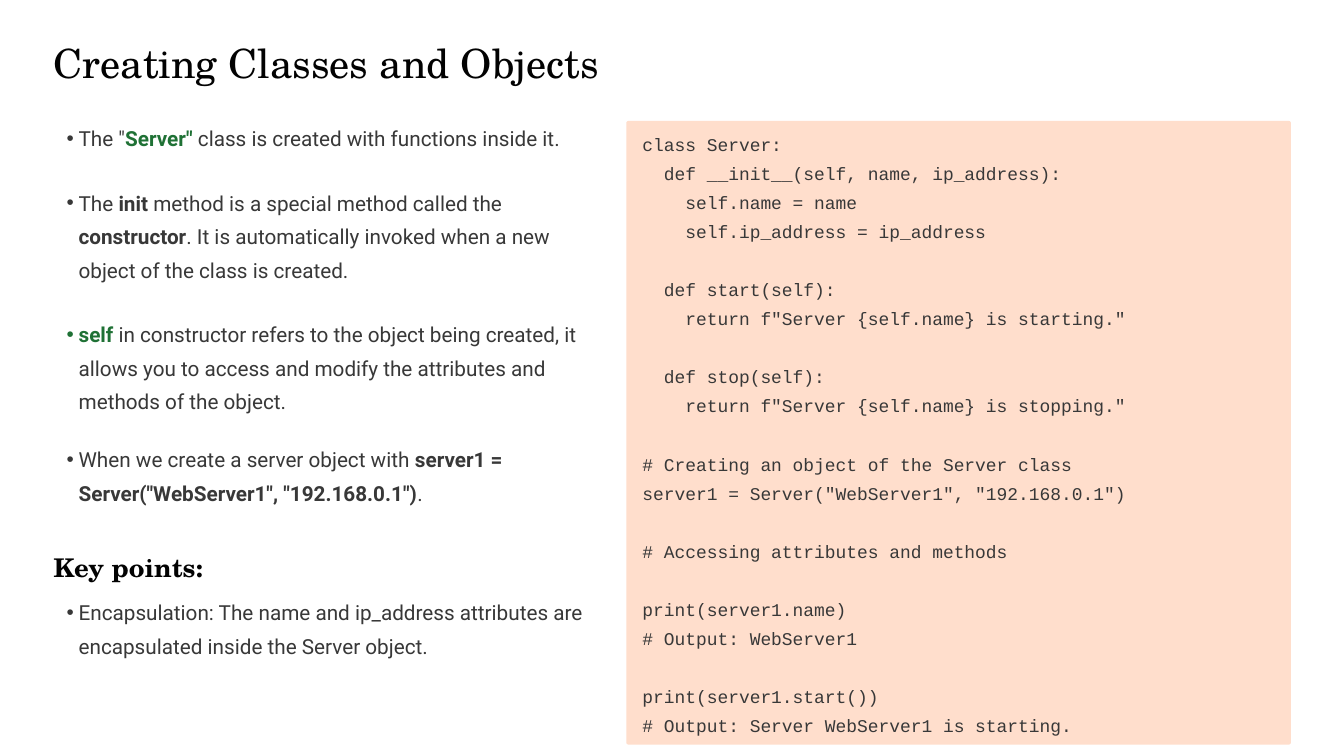
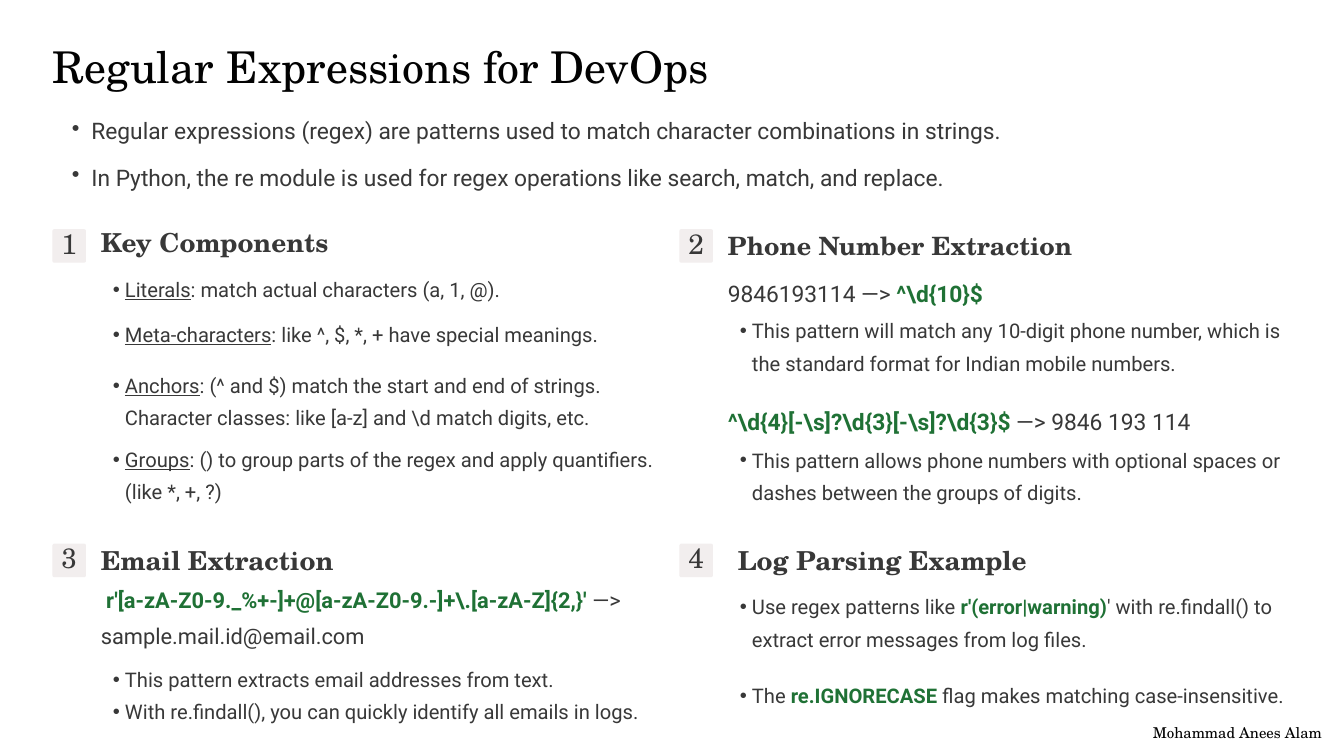
from dataclasses import dataclass

from lxml import etree
from pptx import Presentation
from pptx import util as u
from pptx.dml.color import RGBColor
from pptx.enum import shapes, text
from pptx.oxml.ns import qn

WIDTH, HEIGHT = 20, 11.25
INK = RGBColor(0x38, 0x38, 0x38)
BLACK = RGBColor(0x02, 0x02, 0x02)
GREEN = RGBColor(0x1F, 0x71, 0x35)
PEACH = RGBColor(0xFF, 0xDE, 0xCC)
STONE = RGBColor(0xF2, 0xEE, 0xEE)
WHITE = RGBColor(0xFF, 0xFF, 0xFF)
SERIF, SANS, MONO = "TeX Gyre Schola", "Roboto", "Courier New"


@dataclass
class Style:
    font: str
    size: float
    line: float
    color: RGBColor = INK
    bold: bool = False
    centred: bool = False
    margin: float = 0
    indent: float = 0
    bullet: bool = False


STYLES = {
    "class title": Style(SERIF, 43.1, 53.7, BLACK),
    "regex title": Style(SERIF, 46.9, 58.1, BLACK),
    "key heading": Style(SERIF, 27.6, 34.4, BLACK, bold=True),
    "heading": Style(SERIF, 28, 35, bold=True),
    "long heading": Style(SERIF, 27, 33.8, bold=True),
    "number": Style(SERIF, 30, 30, centred=True),
    "author": Style(SERIF, 16, 18, BLACK, centred=True),
    "code": Style(MONO, 19.2, 31.1),
    "class point": Style(SANS, 22.2, 35.9, margin=0.37, indent=-0.18, bullet=True),
    "intro": Style(SANS, 24.4, 40.1, margin=0.58, indent=-0.29, bullet=True),
    "point": Style(SANS, 21.6, 34.6, margin=0.36, indent=-0.18, bullet=True),
    "sample": Style(SANS, 24.4, 40.1),
    "email sample": Style(SANS, 23.4, 38.5, indent=0.08),
}

CLASS_TITLE = "Creating Classes and Objects"
CLASS_POINTS = [
    ("class point", 0, [("The \"", ""), ("Server\"", "green"),
                        (" class is created with functions inside it.", "")]),
    ("class point", 33.5, [("The ", ""), ("init", "bold"),
                           (" method is a special method called the ", ""),
                           ("constructor", "bold"),
                           (". It is automatically invoked when a new object of the class is created.", "")]),
    ("class point", 33.5, [("self", "green"),
                           (" in constructor refers to the object being created, it allows you to "
                            "access and modify the attributes and methods of the object.", "")]),
    ("class point", 26, [("When we create a server object with ", ""),
                         ("server1 = Server(\"WebServer1\", \"192.168.0.1\")", "bold"), (".", "")]),
]
KEY_HEADING = "Key points:"
KEY_POINTS = [
    ("class point", 0, [("Encapsulation: The name and ip_address attributes are "
                         "encapsulated inside the Server object.", "")]),
]
CODE = '''class Server:
  def __init__(self, name, ip_address):
    self.name = name
    self.ip_address = ip_address

  def start(self):
    return f"Server {self.name} is starting."

  def stop(self):
    return f"Server {self.name} is stopping."

# Creating an object of the Server class
server1 = Server("WebServer1", "192.168.0.1")

# Accessing attributes and methods

print(server1.name)
# Output: WebServer1

print(server1.start())
# Output: Server WebServer1 is starting.'''

REGEX_TITLE = "Regular Expressions for DevOps"
INTRO = [
    ("intro", 0, [("Regular expressions (regex) are patterns used to match "
                   "character combinations in strings.", "")]),
    ("intro", 10, [("In Python, the re module is used for regex operations like "
                    "search, match, and replace.", "")]),
]
AUTHOR = "Mohammad Anees Alam"
COLUMNS, ROWS = (0.78, 10.11), (3.41, 8.09)
BADGE, TEXT_OFFSET, TEXT_WIDTH = 0.5, 0.72, 8.39
TOPICS = [
    {"heading": "Key Components", "style": "heading", "shift": (0, -0.12), "top": 4.01,
     "points": [
         ("point", 0, [("Literals", "underline"), (": match actual characters (a, 1, @).", "")]),
         ("point", 13.5, [("Meta-characters", "underline"),
                          (": like ^, $, *, + have special meanings.", "")]),
         ("point", 20, [("Anchors", "underline"),
                        (": (^ and $) match the start and end of strings. "
                         "Character classes: like [a-z] and \\d match digits, etc.", "")]),
         ("point", 10, [("Groups", "underline"),
                        (": () to group parts of the regex and apply quantifiers.(like *, +, ?)", "")]),
     ]},
    {"heading": "Phone Number Extraction", "style": "long heading", "shift": (0, -0.06), "top": 4.01,
     "points": [
         ("sample", 0, [("9846193114 —> ", ""), ("^\\d{10}$", "green")]),
         ("point", 4, [("This pattern will match any 10-digit phone number, which is the "
                        "standard format for Indian mobile numbers.", "")]),
         ("sample", 24, [("^\\d{4}[-\\s]?\\d{3}[-\\s]?\\d{3}$", "green"), (" —> 9846 193 114", "")]),
         ("point", 5, [("This pattern allows phone numbers with optional spaces or "
                        "dashes between the groups of digits.", "")]),
     ]},
    {"heading": "Email Extraction", "style": "heading", "shift": (0, -0.06), "top": 8.59,
     "points": [
         ("email sample", 0, [("r'[a-zA-Z0-9._%+-]+@[a-zA-Z0-9.-]+\\.[a-zA-Z]{2,}'", "green"),
                              (" —> sample.mail.id@email.com", "")]),
         ("point", 11, [("This pattern extracts email addresses from text.", "")]),
         ("point", 0, [("With re.findall(), you can quickly identify all emails in logs.", "")]),
     ]},
    {"heading": "Log Parsing Example", "style": "heading", "shift": (0.15, -0.06), "top": 8.73,
     "points": [
         ("point", 0, [("Use regex patterns like ", ""), ("r'(error|warning)", "green"),
                       ("' with re.findall() to extract error messages from log files.", "")]),
         ("point", 26, [("The ", ""), ("re.IGNORECASE", "green"),
                        (" flag makes matching case-insensitive.", "")]),
     ]},
]


def inches(*lengths):
    return [u.Inches(length) for length in lengths]


def plain(style, *lines):
    return [(style, 0, [(line, "")]) for line in lines]


def write(box, paragraphs, anchor=text.MSO_ANCHOR.TOP):
    frame = box.text_frame
    frame.auto_size = text.MSO_AUTO_SIZE.NONE
    frame.word_wrap = True
    frame.vertical_anchor = anchor
    frame.margin_left = frame.margin_right = frame.margin_top = frame.margin_bottom = 0
    for index, (name, gap, spans) in enumerate(paragraphs):
        style = STYLES[name]
        para = frame.add_paragraph() if index else frame.paragraphs[0]
        props = para._p.get_or_add_pPr()
        props.set("marL", str(u.Inches(style.margin)))
        props.set("indent", str(u.Inches(style.indent)))
        if style.bullet:
            etree.SubElement(props, qn("a:buChar"), char="•")
        else:
            etree.SubElement(props, qn("a:buNone"))
        para.alignment = text.PP_ALIGN.CENTER if style.centred else text.PP_ALIGN.LEFT
        para.line_spacing = u.Pt(style.line)
        para.space_before, para.space_after = u.Pt(gap), u.Pt(0)
        for words, mark in spans:
            if not words:
                continue
            span = para.add_run()
            span.text = words
            font = span.font
            font.name, font.size = style.font, u.Pt(style.size)
            font.bold = style.bold or mark in ("bold", "green")
            font.underline = mark == "underline"
            font.color.rgb = GREEN if mark == "green" else style.color


def text_box(page, place, paragraphs, anchor=text.MSO_ANCHOR.TOP):
    write(page.shapes.add_textbox(*inches(*place)), paragraphs, anchor)


def placeholder(page, number, place, paragraphs, anchor=text.MSO_ANCHOR.TOP):
    box = page.placeholders[number]
    box.left, box.top, box.width, box.height = inches(*place)
    write(box, paragraphs, anchor)


def panel(page, place, color):
    box = page.shapes.add_shape(shapes.MSO_SHAPE.ROUNDED_RECTANGLE, *inches(*place))
    box.adjustments[0] = 0.03 / min(place[2:])
    box.shadow.inherit = False
    box.fill.solid()
    box.fill.fore_color.rgb = color
    box.line.fill.background()
    return box


def new_page(deck, layout, title, style, place):
    page = deck.slides.add_slide(deck.slide_layouts.get_by_name(layout))
    page.background.fill.solid()
    page.background.fill.fore_color.rgb = WHITE
    placeholder(page, 0, place, plain(style, title), text.MSO_ANCHOR.MIDDLE)
    return page


def build_classes(deck):
    left, width = 0.8, 7.97
    page = new_page(deck, "Two Content", CLASS_TITLE, "class title", (left, 0.45, 10, 0.92))
    placeholder(page, 1, (left, 1.74, width, 5.8), CLASS_POINTS)
    text_box(page, (left, 8.13, 3.6, 0.59), plain("key heading", KEY_HEADING), text.MSO_ANCHOR.MIDDLE)
    placeholder(page, 2, (left, 8.8, width, 1), KEY_POINTS)
    panel(page, (9.32, 1.8, 9.89, 9.28), PEACH)
    text_box(page, (9.56, 1.88, 9.43, 9.2), plain("code", *CODE.split("\n")))


def build_regex(deck):
    page = new_page(deck, "Comparison", REGEX_TITLE, "regex title", (COLUMNS[0], 0.47, 12, 1))
    text_box(page, (COLUMNS[0], 1.59, 18.45, 1.27), INTRO)
    for index, topic in enumerate(TOPICS):
        row, column = divmod(index, 2)
        left, top = COLUMNS[column], ROWS[row]
        badge = panel(page, (left, top, BADGE, BADGE), STONE)
        write(badge, plain("number", str(index + 1)), text.MSO_ANCHOR.MIDDLE)
        text_left = left + TEXT_OFFSET
        across, down = topic["shift"]
        text_box(page, (text_left + across, top + down, 6, 0.59),
                 plain(topic["style"], topic["heading"]), text.MSO_ANCHOR.MIDDLE)
        bottom = 7.52 if row == 0 else 10.8
        placeholder(page, index + 1, (text_left, topic["top"], TEXT_WIDTH, bottom - topic["top"]),
                    topic["points"])
    text_box(page, (16.83, 10.79, 3.17, 0.25), plain("author", AUTHOR))


def main():
    deck = Presentation()
    deck.slide_width, deck.slide_height = inches(WIDTH, HEIGHT)
    build_classes(deck)
    build_regex(deck)
    deck.save("out.pptx")


if __name__ == "__main__":
    main()
